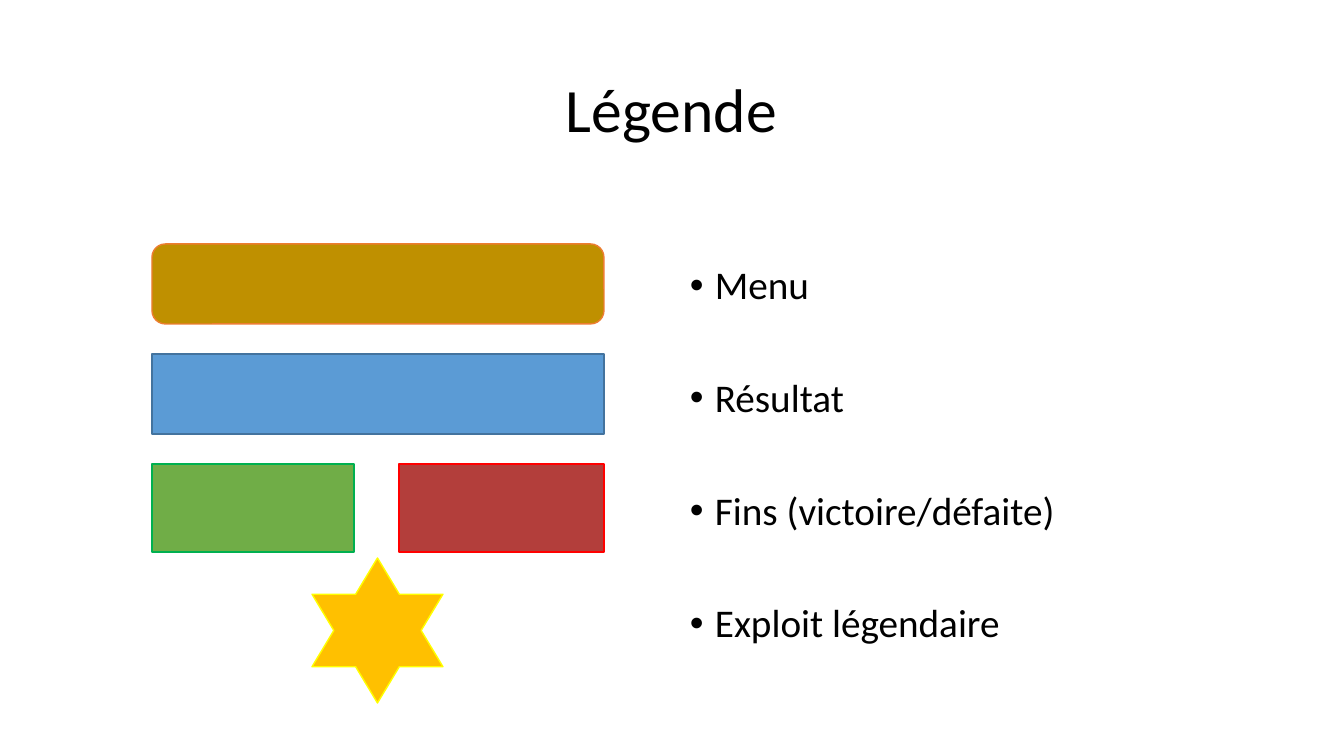
from lxml import etree
from pptx import Presentation
from pptx.dml.color import RGBColor
from pptx.enum.shapes import MSO_SHAPE
from pptx.enum.text import MSO_ANCHOR, PP_ALIGN
from pptx.oxml.ns import qn
from pptx.util import Emu, Pt

RECTANGLE = MSO_SHAPE.RECTANGLE
ROUNDED = MSO_SHAPE.ROUNDED_RECTANGLE
STAR = MSO_SHAPE.STAR_6_POINT
TOP, MIDDLE = MSO_ANCHOR.TOP, MSO_ANCHOR.MIDDLE
LEFT, CENTER = PP_ALIGN.LEFT, PP_ALIGN.CENTER

BLACK = RGBColor(0x00, 0x00, 0x00)
OCHRE = RGBColor(0xBF, 0x90, 0x00)
ORANGE = RGBColor(0xED, 0x7D, 0x31)
BLUE = RGBColor(0x5B, 0x9B, 0xD5)
DARK_BLUE = RGBColor(0x43, 0x73, 0x9E)
GREEN = RGBColor(0x70, 0xAD, 0x47)
BRIGHT_GREEN = RGBColor(0x00, 0xB0, 0x50)
BRICK = RGBColor(0xB3, 0x3E, 0x3B)
RED = RGBColor(0xFF, 0x00, 0x00)
GOLD = RGBColor(0xFF, 0xC0, 0x00)
YELLOW = RGBColor(0xFF, 0xFF, 0x00)

FONT = "Calibri"
LABELS = ["Menu", "Résultat", "Fins (victoire/défaite)", "Exploit légendaire"]


def px(pixels):
    """Convert pixels to EMU."""
    return Emu(round(pixels * 914400 / 100.8))


def add_bullet(paragraph, indent):
    """Give a paragraph a hanging round bullet."""
    properties = paragraph._p.get_or_add_pPr()
    properties.set("marL", str(px(indent)))
    properties.set("indent", str(-px(indent)))
    etree.SubElement(properties, qn("a:buFont"), typeface="Arial")
    etree.SubElement(properties, qn("a:buChar"), char="•")


def add_text(slide, box, lines, size, align=LEFT, anchor=TOP,
             margin_top=5, gap=0, bullet_indent=0):
    """Add a text box with one paragraph for each line."""
    frame = slide.shapes.add_textbox(*map(px, box)).text_frame
    frame.word_wrap = True
    frame.vertical_anchor = anchor
    frame.margin_top = px(margin_top)
    for index, line in enumerate(lines):
        paragraph = frame.paragraphs[0] if index == 0 else frame.add_paragraph()
        paragraph.alignment = align
        paragraph.line_spacing = 0.9
        paragraph.space_after = Pt(gap)
        if bullet_indent:
            add_bullet(paragraph, bullet_indent)
        run = paragraph.add_run()
        run.text = line
        run.font.name = FONT
        run.font.size = Pt(size)
        run.font.color.rgb = BLACK


def add_symbol(slide, kind, box, fill, outline):
    """Add a filled shape with a thin outline."""
    shape = slide.shapes.add_shape(kind, *map(px, box))
    shape.shadow.inherit = False
    shape.fill.solid()
    shape.fill.fore_color.rgb = fill
    shape.line.color.rgb = outline
    shape.line.width = Pt(1)


def add_symbols(slide, box):
    """Stack the legend symbols in rows, with the star centred below."""
    left, top, width, height = box
    pitch, bar_height, ending_height = 110, 80, 88
    victory_width, defeat_width = 202, 205
    star_width, star_height = 131, 145
    endings_top = top + 2 * pitch
    defeat_left = left + width - defeat_width
    star_left = left + (width - star_width) // 2
    star_top = top + height - star_height
    add_symbol(slide, ROUNDED, (left, top, width, bar_height), OCHRE, ORANGE)
    add_symbol(slide, RECTANGLE, (left, top + pitch, width, bar_height), BLUE, DARK_BLUE)
    add_symbol(slide, RECTANGLE, (left, endings_top, victory_width, ending_height),
               GREEN, BRIGHT_GREEN)
    add_symbol(slide, RECTANGLE, (defeat_left, endings_top, defeat_width, ending_height),
               BRICK, RED)
    add_symbol(slide, STAR, (star_left, star_top, star_width, star_height), GOLD, YELLOW)


def add_legend_slide(presentation):
    """Add the legend slide: title, symbols and their meanings."""
    slide = presentation.slides.add_slide(presentation.slide_layouts[6])
    add_text(slide, (92, 40, 1159, 146), ["Légende"], 44, align=CENTER, anchor=MIDDLE)
    add_text(slide, (680, 202, 572, 480), LABELS, 28,
             margin_top=64, gap=50.2, bullet_indent=25)
    add_symbols(slide, (152, 244, 452, 459))


def main():
    """Build and save the presentation."""
    presentation = Presentation()
    presentation.slide_width = px(1344)
    presentation.slide_height = px(756)
    add_legend_slide(presentation)
    presentation.save("out.pptx")


main()
